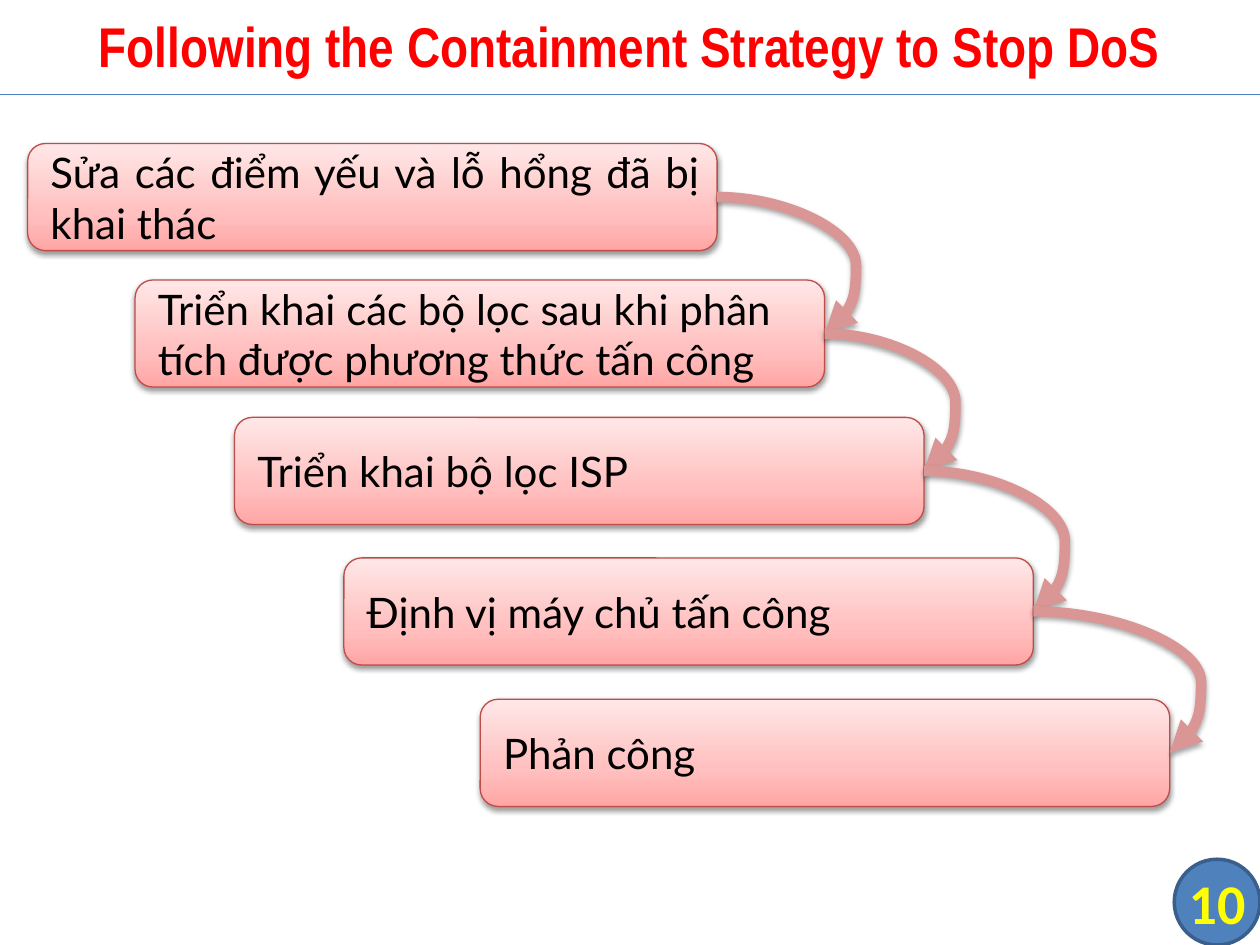
import pptx
import pptx.util
import pptx.dml.color
import pptx.enum.shapes
import pptx.enum.text
import pptx.oxml
import pptx.oxml.ns

Pt = pptx.util.Pt
SHAPE = pptx.enum.shapes.MSO_SHAPE
ALIGN = pptx.enum.text.PP_ALIGN

TITLE = "Following the Containment Strategy to Stop DoS"
NUMBER = "10"
# text, left edge, top edge, alignment
STEPS = [
    ("Sửa các điểm yếu và lỗ hổng đã bị khai thác", 15.8, 82, ALIGN.JUSTIFY),
    ("Triển khai các bộ lọc sau khi phân tích được phương thức tấn công", 77.2, 160, ALIGN.LEFT),
    ("Triển khai bộ lọc ISP", 134, 238.5, ALIGN.LEFT),
    ("Định vị máy chủ tấn công", 196.5, 318.8, ALIGN.LEFT),
    ("Phản công", 274.4, 399.6, ALIGN.LEFT),
]
BOX_W, BOX_H = 394, 61.2
BULGE = 18  # how far each arrow swings out past its end
BADGE = (671, 491, 49, 49)

COLORS = {
    "title": "FF0000", "rule": "4B7EBC", "badge": "4F81BD", "badge_line": "3A5F8C",
    "number": "FFFF00", "text": "000000", "box_line": "BF4C48", "arrow": "D99694",
}
GRADIENT = [(0, "FFA6A5"), (35, "FFC0BF"), (100, "FFE7E7")]
NS = pptx.oxml.ns.nsdecls("a")


def rgb(name):
    return pptx.dml.color.RGBColor.from_string(COLORS[name])


def set_line(shape, color, width):
    shape.line.color.rgb = rgb(color)
    shape.line.width = Pt(width)


def write(shape, text, size=24, font="Lato", color="text", bold=False,
          align=ALIGN.LEFT, inset=None, indent=0):
    tf = shape.text_frame
    tf.word_wrap = True
    tf.auto_size = pptx.enum.text.MSO_AUTO_SIZE.NONE
    tf.vertical_anchor = pptx.enum.text.MSO_ANCHOR.MIDDLE
    if inset is not None:
        tf.margin_left = tf.margin_right = tf.margin_top = tf.margin_bottom = Pt(inset)
    p = tf.paragraphs[0]
    p.alignment = align
    if indent:
        p._p.get_or_add_pPr().set("marL", str(Pt(indent)))
    r = p.add_run()
    r.text = text
    r.font.size, r.font.name, r.font.bold = Pt(size), font, bold
    r.font.color.rgb = rgb(color)


def add_effects(shape, alpha=0, dist=0):
    """Give the shape a soft shadow straight below it, or none if alpha is 0."""
    shadow = (f'<a:outerShdw blurRad="{Pt(3.1)}" dist="{Pt(dist)}" dir="5400000" rotWithShape="0">'
              f'<a:srgbClr val="000000"><a:alpha val="{alpha * 1000}"/></a:srgbClr>'
              '</a:outerShdw>') if alpha else ""
    shape._element.spPr.append(pptx.oxml.parse_xml(f"<a:effectLst {NS}>{shadow}</a:effectLst>"))


def add_step(s, text, left, top, align):
    sp = s.shapes.add_shape(SHAPE.ROUNDED_RECTANGLE, Pt(left), Pt(top), Pt(BOX_W), Pt(BOX_H))
    stops = "".join(f'<a:gs pos="{pos * 1000}"><a:srgbClr val="{c}"/></a:gs>'
                    for pos, c in GRADIENT)
    sp._element.spPr.append(pptx.oxml.parse_xml(
        f'<a:gradFill {NS} rotWithShape="1"><a:gsLst>{stops}</a:gsLst>'
        '<a:lin ang="16200000" scaled="0"/></a:gradFill>'))
    set_line(sp, "box_line", 0.75)
    add_effects(sp, alpha=38, dist=1.6)
    write(sp, text, align=align, indent=3)
    return sp


def add_arrow(s, start, end):
    """Curve from the right side of one box to the right side of the next."""
    c = s.shapes.add_connector(pptx.enum.shapes.MSO_CONNECTOR.CURVE, 0, 0, 0, 0)
    c.begin_connect(start, 3)
    c.end_connect(end, 3)
    swing = round(100000 * (1 + Pt(BULGE) / c.width))
    guides = c._element.spPr.prstGeom.get_or_add_avLst()
    guides.append(pptx.oxml.parse_xml(f'<a:gd {NS} name="adj1" fmla="val {swing}"/>'))
    set_line(c, "arrow", 6)
    c.line._get_or_add_ln().append(pptx.oxml.parse_xml(f'<a:tailEnd {NS} type="triangle"/>'))
    add_effects(c, alpha=35, dist=1.8)


def main():
    prs = pptx.Presentation()
    prs.slide_width, prs.slide_height = Pt(720), Pt(540)
    s = prs.slides.add_slide(prs.slide_layouts[5])

    title = s.shapes.title
    title.left, title.top, title.width, title.height = Pt(0), Pt(-2), Pt(720), Pt(56)
    write(title, TITLE, size=32, font="Arial Narrow", color="title", bold=True,
          align=ALIGN.CENTER)

    rule = s.shapes.add_connector(pptx.enum.shapes.MSO_CONNECTOR.STRAIGHT,
                                  Pt(0), Pt(54), Pt(720), Pt(54))
    set_line(rule, "rule", 0.75)
    add_effects(rule)

    badge_place = [Pt(v) for v in BADGE]
    badge = s.shapes.add_shape(SHAPE.FLOWCHART_CONNECTOR, *badge_place)
    badge.shadow.inherit = False
    badge.fill.solid()
    badge.fill.fore_color.rgb = rgb("badge")
    set_line(badge, "badge_line", 2)
    write(s.shapes.add_textbox(*badge_place), NUMBER, size=32, font="Calibri",
          color="number", bold=True, align=ALIGN.CENTER, inset=0)

    boxes = [add_step(s, *step) for step in STEPS]
    for start, end in zip(boxes, boxes[1:]):
        add_arrow(s, start, end)

    prs.save("out.pptx")


if __name__ == "__main__":
    main()
